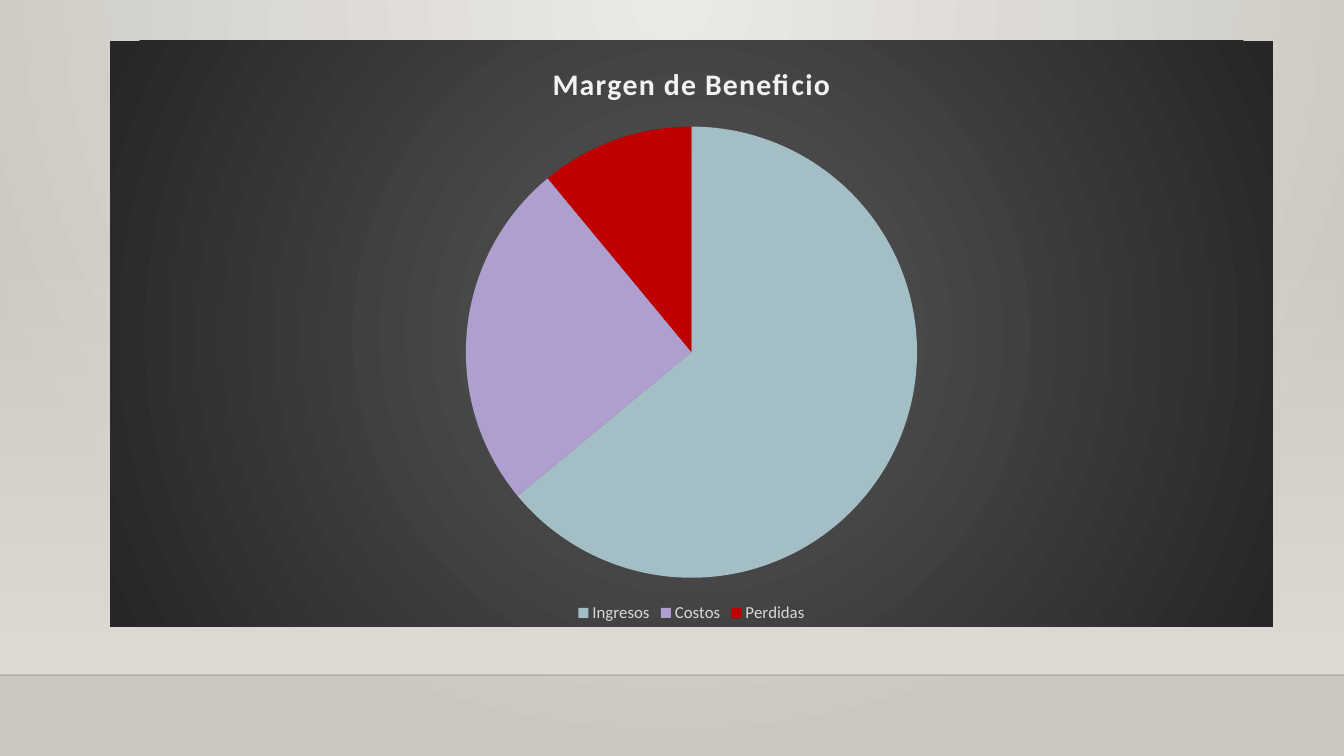
from typing import NamedTuple

from lxml import etree
from pptx import Presentation
from pptx import util as u
from pptx.chart.data import CategoryChartData
from pptx.dml.color import RGBColor
from pptx.enum import chart as ce, shapes
from pptx.oxml.ns import qn

PX = 914400 / 100.8
FONT = "Calibri"
TITLE = "Margen de Beneficio"
COLORS = {
    "wall_light": "ECEAE7",
    "wall_dark": "CAC7C1",
    "haze": "DFDBD5",
    "floor_line": "000001",
    "panel_light": "595959",
    "panel_dark": "262626",
    "title": "F2F2F2",
    "legend": "D9D9D9",
    "blue": "A4BEC6",
    "lilac": "AF9FCF",
    "red": "C00000",
}


class Slice(NamedTuple):
    label: str
    value: int
    color: str


class Stop(NamedTuple):
    color: str
    alpha: int = 100


SLICES = [
    Slice("Ingresos", 64, "blue"),
    Slice("Costos", 25, "lilac"),
    Slice("Perdidas", 11, "red"),
]


def px(n: int) -> u.Emu:
    return u.Emu(round(n * PX))


def rgb(name: str) -> RGBColor:
    return RGBColor.from_string(COLORS[name])


def set_alpha(clr, percent: int) -> None:
    etree.SubElement(clr, qn("a:alpha"), val=str(percent * 1000))


def gradient(start: Stop, end: Stop, center: tuple | None = None):
    grad = etree.Element(qn("a:gradFill"), rotWithShape="1")
    stops = etree.SubElement(grad, qn("a:gsLst"))
    for pos, stop in ((0, start), (100000, end)):
        gs = etree.SubElement(stops, qn("a:gs"), pos=str(pos))
        clr = etree.SubElement(gs, qn("a:srgbClr"), val=COLORS[stop.color])
        if stop.alpha < 100:
            set_alpha(clr, stop.alpha)
    if center is None:
        etree.SubElement(grad, qn("a:lin"), ang="5400000", scaled="0")
    else:
        circle = etree.SubElement(grad, qn("a:path"), path="circle")
        sides = {k: str(v * 1000) for k, v in zip("ltrb", center)}
        etree.SubElement(circle, qn("a:fillToRect"), **sides)
    return grad


def replace_solid(parent, grad) -> None:
    parent.replace(parent.find(qn("a:solidFill")), grad)


def add_backdrop(s) -> None:
    s.background.fill.solid()
    replace_solid(s.element.xpath(".//p:bgPr")[0],
                  gradient(Stop("wall_light"), Stop("wall_dark"), (43, 0, 43, 100)))

    haze = s.shapes.add_shape(shapes.MSO_SHAPE.RECTANGLE, 0, px(223), px(1344), px(452))
    haze.shadow.inherit = False
    haze.line.fill.background()
    haze.fill.solid()
    replace_solid(haze.element.spPr, gradient(Stop("haze", 0), Stop("haze")))

    line = s.shapes.add_connector(shapes.MSO_CONNECTOR.STRAIGHT, 0, px(675), px(1344), px(675))
    line.line.width = u.Pt(1)
    line.line.color.rgb = rgb("floor_line")
    spPr = line.element.spPr
    set_alpha(spPr.find(".//" + qn("a:srgbClr")), 20)
    etree.SubElement(spPr, qn("a:effectLst"))


def add_pie(s) -> None:
    data = CategoryChartData()
    data.categories = [sl.label for sl in SLICES]
    data.add_series(TITLE, [sl.value for sl in SLICES])
    chart = s.shapes.add_chart(ce.XL_CHART_TYPE.PIE, px(110), px(41),
                               px(1163), px(586), data).chart
    chart.font.name = FONT
    chart.font.size = u.Pt(10)

    chart.has_title = True
    tf = chart.chart_title.text_frame
    tf.text = TITLE
    p = tf.paragraphs[0]
    p.font.name = FONT
    p.font.size = u.Pt(21.3)
    p.font.bold = True
    p.font.color.rgb = rgb("title")
    p._p.find(".//" + qn("a:defRPr")).set("spc", "100")
    chart.chart_title.include_in_layout = False

    chart.has_legend = True
    legend = chart.legend
    legend.position = ce.XL_LEGEND_POSITION.BOTTOM
    legend.include_in_layout = False
    legend.font.name = FONT
    legend.font.size = u.Pt(12)
    legend.font.color.rgb = rgb("legend")

    plot = chart.plots[0]
    plot.vary_by_categories = True
    for i, sl in enumerate(SLICES):
        point = plot.series[0].points[i]
        point.format.fill.solid()
        point.format.fill.fore_color.rgb = rgb(sl.color)
        point.format.line.fill.background()

    panel = etree.Element(qn("c:spPr"))
    panel.append(gradient(Stop("panel_light"), Stop("panel_dark"), (50, 50, 50, 50)))
    etree.SubElement(etree.SubElement(panel, qn("a:ln")), qn("a:noFill"))
    chart.element.find(qn("c:txPr")).addprevious(panel)


def main() -> None:
    prs = Presentation()
    prs.slide_width, prs.slide_height = px(1344), px(756)
    s = prs.slides.add_slide(prs.slide_layouts[6])
    add_backdrop(s)
    add_pie(s)
    prs.save("out.pptx")


if __name__ == "__main__":
    main()
